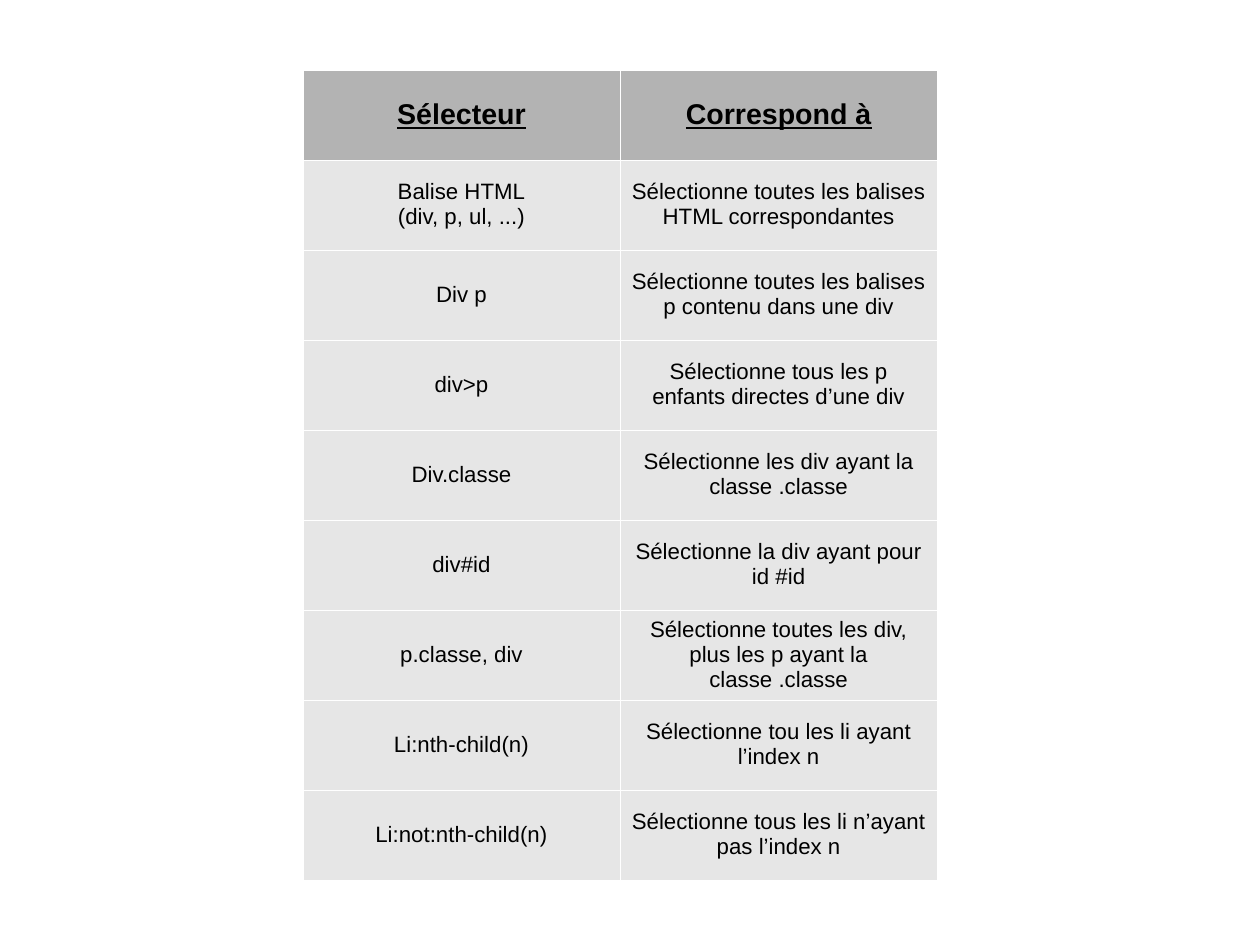
import pptx
import pptx.dml.color
import pptx.enum.text
import pptx.util
from lxml import etree
from pptx.oxml.ns import qn

Inches = pptx.util.Inches
Pt = pptx.util.Pt
RGBColor = pptx.dml.color.RGBColor

BLACK = RGBColor(0x00, 0x00, 0x00)
WHITE = RGBColor(0xFF, 0xFF, 0xFF)
HEADER_GREY = RGBColor(0xB3, 0xB3, 0xB3)
BODY_GREY = RGBColor(0xE6, 0xE6, 0xE6)

SELECTORS = [
    ("Sélecteur", "Correspond à"),
    ("Balise HTML\n(div, p, ul, ...)", "Sélectionne toutes les balises HTML correspondantes"),
    ("Div p", "Sélectionne toutes les balises p contenu dans une div"),
    ("div>p", "Sélectionne tous les p enfants directes d’une div"),
    ("Div.classe", "Sélectionne les div ayant la classe .classe"),
    ("div#id", "Sélectionne la div ayant pour id #id"),
    ("p.classe, div", "Sélectionne toutes les div, plus les p ayant la classe .classe"),
    ("Li:nth-child(n)", "Sélectionne tou les li ayant l’index n"),
    ("Li:not:nth-child(n)", "Sélectionne tous les li n’ayant pas l’index n"),
]


class SlideBuilder:
    font_name = "Arial"
    header_size = Pt(18)
    body_size = Pt(14)
    border_width = Pt(0.06)

    def __init__(self, slide):
        self.slide = slide

    def add_table(self, rows, left, top, width, height):
        frame = self.slide.shapes.add_table(len(rows), len(rows[0]), left, top, width, height)
        table = frame.table
        table.horz_banding = False
        for row_index, texts in enumerate(rows):
            for column_index, text in enumerate(texts):
                self.format_cell(table.cell(row_index, column_index), text, row_index == 0)

    def format_cell(self, cell, text, is_header):
        cell.text_frame.text = text
        cell.vertical_anchor = pptx.enum.text.MSO_ANCHOR.MIDDLE
        self.add_borders(cell)
        cell.fill.solid()
        cell.fill.fore_color.rgb = HEADER_GREY if is_header else BODY_GREY
        for paragraph in cell.text_frame.paragraphs:
            paragraph.alignment = pptx.enum.text.PP_ALIGN.CENTER
            for run in paragraph.runs:
                run.font.name = self.font_name
                run.font.size = self.header_size if is_header else self.body_size
                run.font.bold = is_header
                run.font.underline = is_header
                run.font.color.rgb = BLACK

    def add_borders(self, cell):
        properties = cell._tc.get_or_add_tcPr()
        for side in ("a:lnL", "a:lnR", "a:lnT", "a:lnB"):
            line = etree.SubElement(properties, qn(side), w=str(self.border_width))
            fill = etree.SubElement(line, qn("a:solidFill"))
            etree.SubElement(fill, qn("a:srgbClr"), val=str(WHITE))


def main():
    presentation = pptx.Presentation()
    presentation.slide_width = Inches(28 / 2.54)
    presentation.slide_height = Inches(21 / 2.54)
    presentation.element.find(qn("p:sldSz")).attrib.pop("type", None)
    slide = presentation.slides.add_slide(presentation.slide_layouts[6])
    builder = SlideBuilder(slide)
    builder.add_table(SELECTORS, Inches(2.65), Inches(0.61), Inches(5.55), Inches(7.09))
    presentation.save("out.pptx")


if __name__ == "__main__":
    main()
